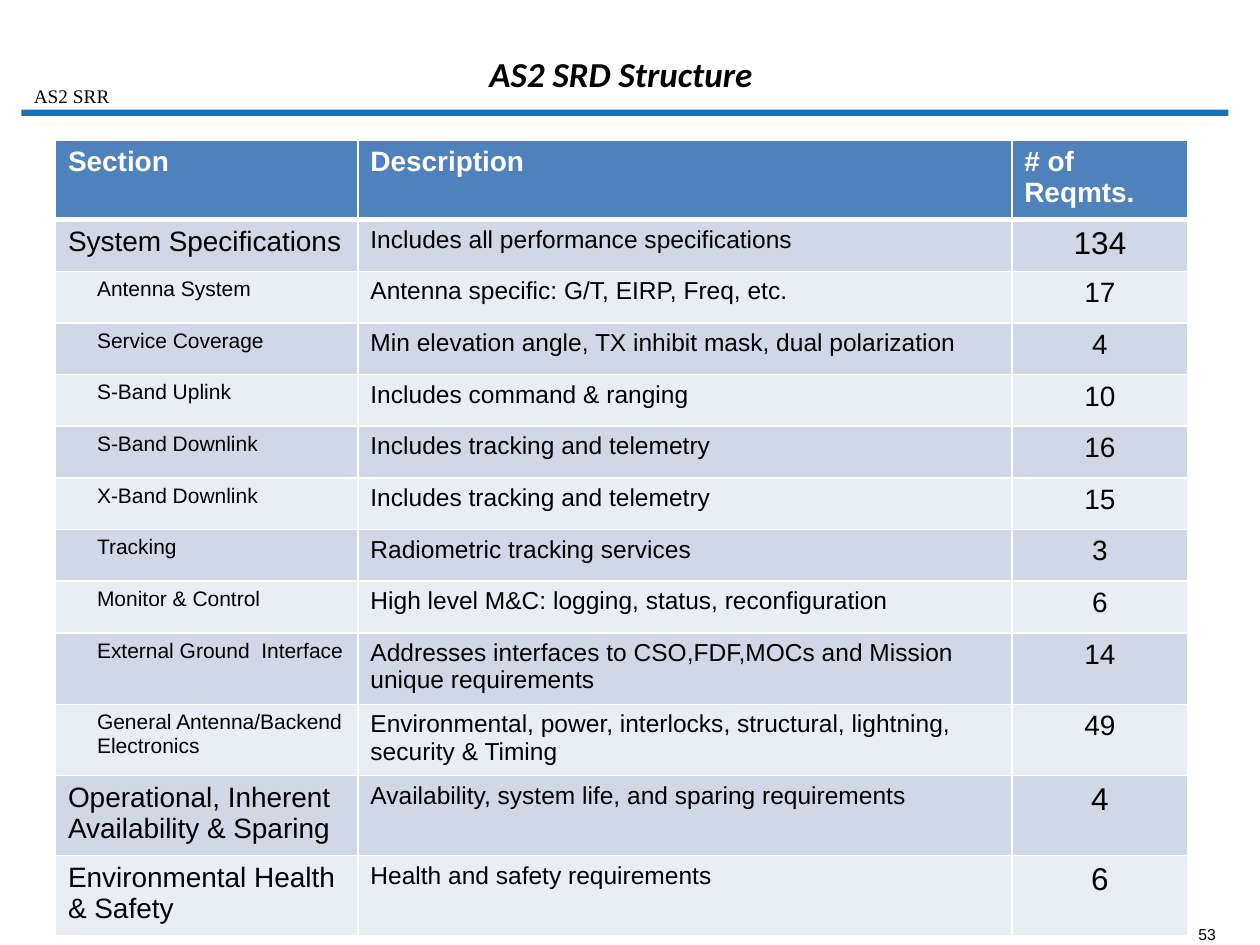
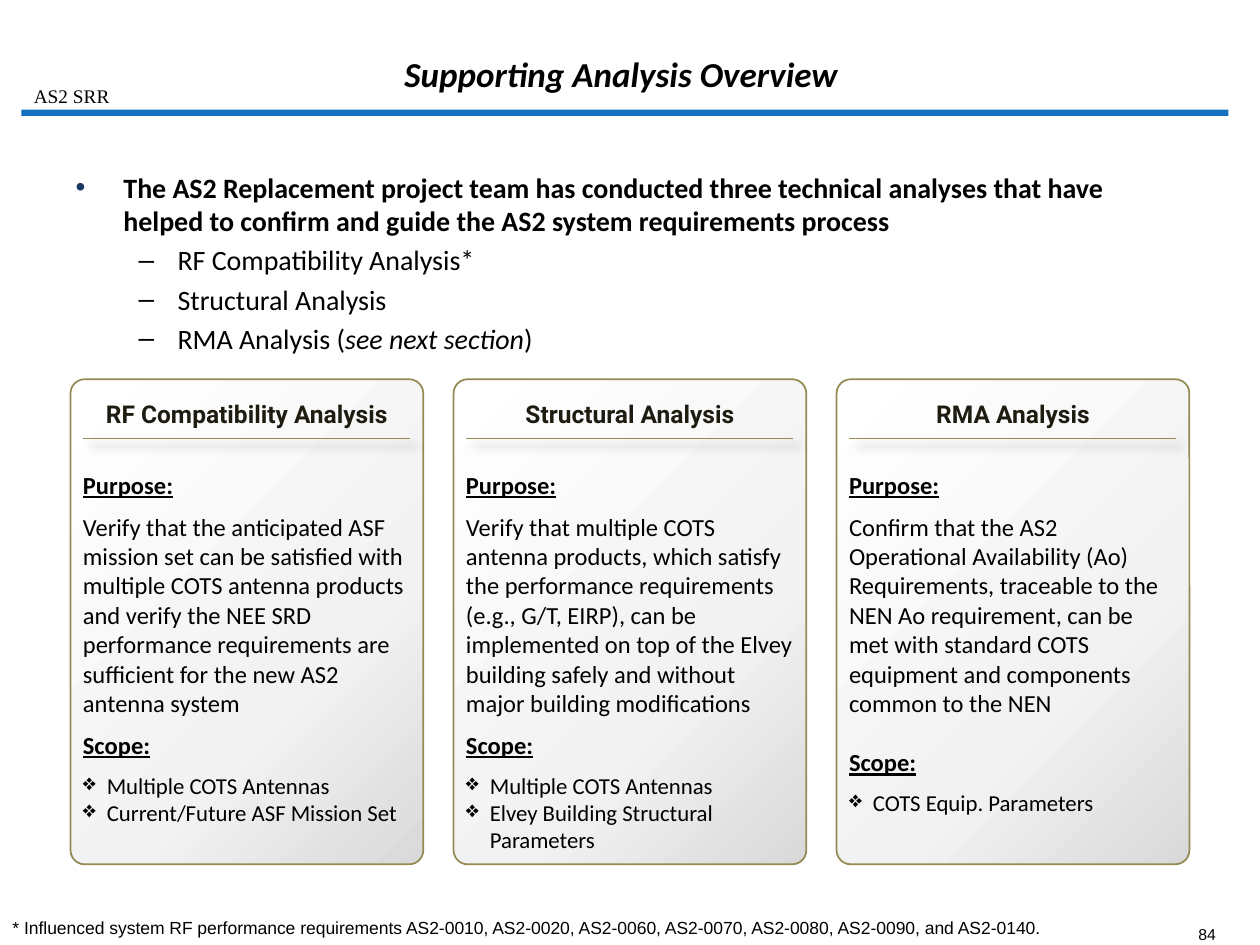
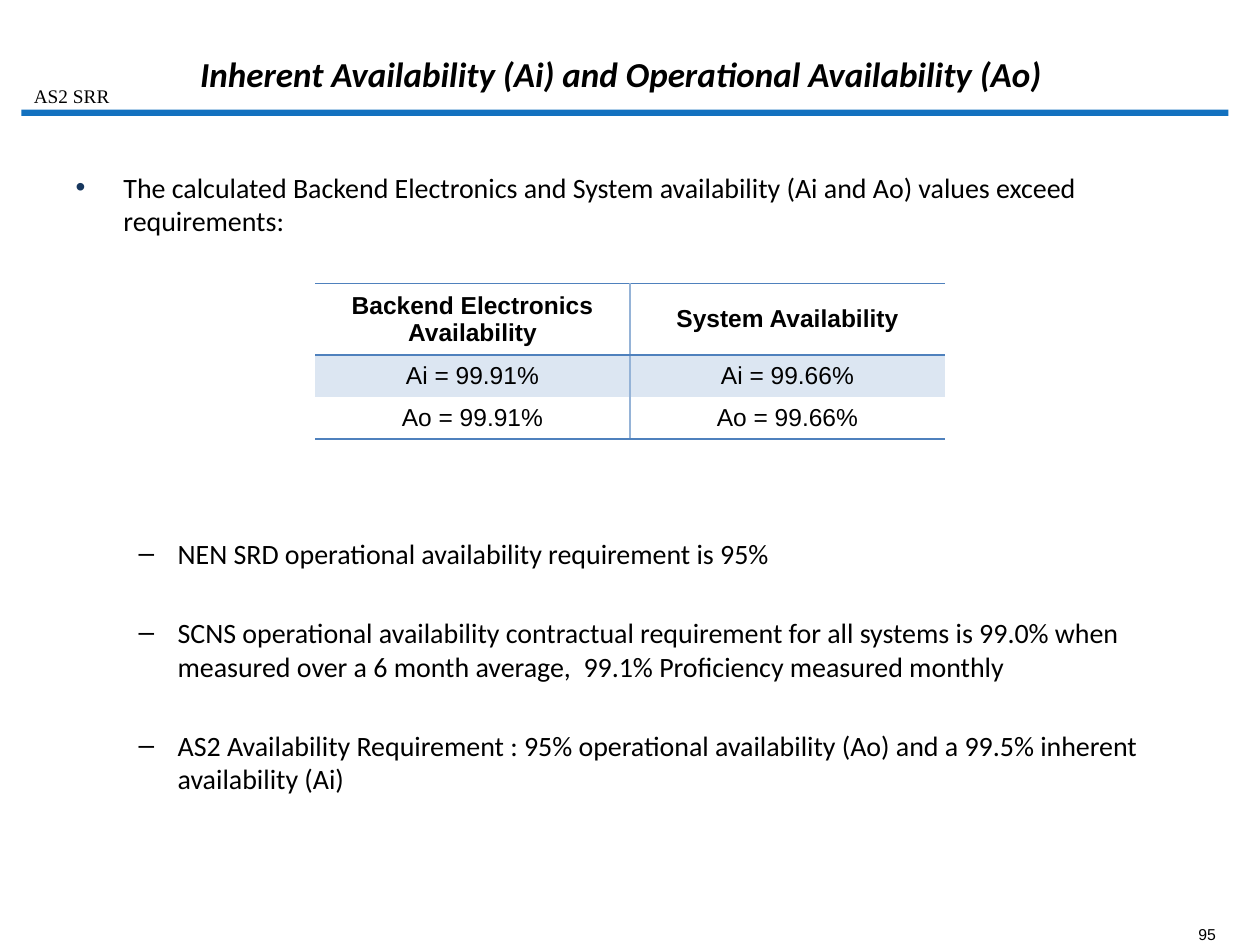
from functools import partial
from typing import NamedTuple

from lxml.etree import SubElement
from pptx import Presentation
from pptx.dml.color import RGBColor
from pptx.enum.shapes import MSO_CONNECTOR as Link, MSO_SHAPE as Shape
from pptx.enum.text import MSO_ANCHOR as Anchor, MSO_AUTO_SIZE as Fit, PP_ALIGN as Align
from pptx.oxml.ns import qn
from pptx.util import Inches, Pt

BLACK = RGBColor(0x00, 0x00, 0x00)
WHITE = RGBColor(0xFF, 0xFF, 0xFF)
BAND = RGBColor(0x13, 0x71, 0xBF)
NAVY = RGBColor(0x17, 0x37, 0x5E)
BLUE = RGBColor(0x4F, 0x81, 0xBD)
SKY = RGBColor(0x95, 0xB3, 0xD7)
PALE = RGBColor(0xDC, 0xE6, 0xF2)
ODD = RGBColor(0xD0, 0xD8, 0xE8)
EVEN = RGBColor(0xE9, 0xED, 0xF4)
OLIVE = RGBColor(0x94, 0x8A, 0x54)
DARK = RGBColor(0x1E, 0x1C, 0x11)
FADE = ((0, WHITE), (65, RGBColor(0xF2, 0xF2, 0xF2)), (100, RGBColor(0xD9, 0xD9, 0xD9)))

BODY = "Calibri"
SANS = "Arial"


class Row(NamedTuple):
    name: str
    about: str
    count: int
    main: bool = False


class Card(NamedTuple):
    title: str
    goal: str
    scope: tuple[str, ...]
    gap: int = 7


ROWS = (
    Row("System Specifications", "Includes all performance specifications", 134, True),
    Row("Antenna System", "Antenna specific: G/T, EIRP, Freq, etc.", 17),
    Row("Service Coverage", "Min elevation angle, TX inhibit mask, dual polarization", 4),
    Row("S-Band Uplink", "Includes command & ranging", 10),
    Row("S-Band Downlink", "Includes tracking and telemetry", 16),
    Row("X-Band Downlink", "Includes tracking and telemetry", 15),
    Row("Tracking", "Radiometric tracking services", 3),
    Row("Monitor & Control", "High level M&C: logging, status, reconfiguration", 6),
    Row("External Ground  Interface",
        "Addresses interfaces to CSO,FDF,MOCs and Mission unique requirements", 14),
    Row("General Antenna/Backend\nElectronics",
        "Environmental, power, interlocks, structural, lightning, security & Timing", 49),
    Row("Operational, Inherent Availability & Sparing",
        "Availability, system life, and sparing requirements", 4, True),
    Row("Environmental Health & Safety", "Health and safety requirements", 6, True),
)

CARDS = (
    Card("RF Compatibility Analysis",
         "Verify that the anticipated ASF mission set can be satisfied with multiple COTS "
         "antenna products and verify the NEE SRD performance requirements are sufficient "
         "for the new AS2 antenna system",
         ("Multiple COTS Antennas", "Current/Future ASF Mission Set")),
    Card("Structural Analysis",
         "Verify that multiple COTS antenna products, which satisfy the performance "
         "requirements (e.g., G/T, EIRP), can be implemented on top of the Elvey building "
         "safely and without major building modifications",
         ("Multiple COTS Antennas", "Elvey Building Structural Parameters")),
    Card("RMA Analysis",
         "Confirm that the AS2 Operational Availability (Ao) Requirements, traceable to the "
         "NEN Ao requirement, can be met with standard COTS equipment and components "
         "common to the NEN",
         ("COTS Equip. Parameters",), 17),
)


def put(frame, text: str, *, size: float = 16, font: str = BODY, color: RGBColor = BLACK,
        bold: bool = False, italic: bool = False, under: bool = False,
        align: Align = Align.LEFT, before: float = 0, level: int = 0,
        left: float = 0, hang: float = 0, mark: str = "",
        tint: RGBColor | None = None) -> None:
    """Add one paragraph per line of text; parts between bars are italic."""
    for line in text.split("\n"):
        para = frame.paragraphs[0]
        if para.runs:
            para = frame.add_paragraph()
        props = para._p.get_or_add_pPr()
        props.set("marL", str(Inches(left)))
        props.set("indent", str(Inches(-hang)))
        if tint is not None:
            SubElement(SubElement(props, qn("a:buClr")), qn("a:srgbClr"), val=str(tint))
        if mark:
            SubElement(props, qn("a:buChar"), char=mark)
        else:
            SubElement(props, qn("a:buNone"))
        para.level = level
        para.alignment = align
        para.space_before = Pt(before)
        for i, part in enumerate(line.split("|")):
            run = para.add_run()
            run.text = part
            face = run.font
            face.name, face.size, face.bold = font, Pt(size), bold
            face.italic = italic or i % 2 == 1
            face.underline = under
            face.color.rgb = color


point = partial(put, left=0.38, hang=0.38, mark="•", tint=NAVY)
dash = partial(put, level=1, left=0.81, hang=0.31, mark="–")


def place(shape, left: float, top: float, width: float, height: float) -> None:
    shape.left, shape.top = Inches(left), Inches(top)
    shape.width, shape.height = Inches(width), Inches(height)


def box(slide, left: float, top: float, width: float, height: float, *,
        wrap: bool = True, pad: tuple[float, float] = (0.1, 0.05)):
    """Add a text box and return its text frame."""
    frame = slide.shapes.add_textbox(
        Inches(left), Inches(top), Inches(width), Inches(height)).text_frame
    frame.word_wrap = wrap
    frame.margin_left = frame.margin_right = Inches(pad[0])
    frame.margin_top = frame.margin_bottom = Inches(pad[1])
    return frame


def start(deck, layout: int, title: str, page: int):
    """Add a slide with title, band, label and page number."""
    slide = deck.slides.add_slide(deck.slide_layouts[layout])
    put(box(slide, 9.5, 7.34, 0.15, 0.15, wrap=False, pad=(0, 0)), str(page),
        size=9, font=SANS, align=Align.RIGHT)
    band = slide.shapes.add_shape(
        Shape.RECTANGLE, Inches(0.17), Inches(0.87), Inches(9.58), Inches(0.05))
    band.shadow.inherit = False
    band.fill.solid()
    band.fill.fore_color.rgb = BAND
    band.line.fill.background()
    put(box(slide, 0.17, 0.62, 0.81, 0.29, wrap=False), "AS2 SRR",
        size=11, font="Times New Roman")
    head = slide.shapes.title
    place(head, 1.33, 0.13, 7.2, 0.67)
    head.text_frame.auto_size = Fit.NONE
    head.text_frame.vertical_anchor = Anchor.BOTTOM
    put(head.text_frame, title, size=20, bold=True, italic=True, align=Align.CENTER)
    return slide


def list_frame(slide, height: float):
    body = slide.placeholders[1]
    place(body, 0.5, 1.3, 9, height)
    body.text_frame.auto_size = Fit.NONE
    return body.text_frame


def grid(slide, left: float, top: float, cols: tuple[float, ...], rows: tuple[float, ...]):
    """Add a table without its style's header and bands."""
    table = slide.shapes.add_table(
        len(rows), len(cols), Inches(left), Inches(top),
        Inches(sum(cols)), Inches(sum(rows))).table
    table.first_row = table.horz_banding = False
    for col, width in zip(table.columns, cols):
        col.width = Inches(width)
    for row, height in zip(table.rows, rows):
        row.height = Inches(height)
    return table


def dress(cell, fill: RGBColor | None, **edges: tuple[RGBColor, float] | None) -> None:
    """Set the borders L, R, T, B (none unless given) and the fill."""
    props = cell._tc.get_or_add_tcPr()
    for side in "LRTB":
        edge = edges.get(side)
        line = SubElement(props, qn(f"a:ln{side}"), w=str(Pt(edge[1] if edge else 0)))
        if edge:
            paint = SubElement(line, qn("a:solidFill"))
            SubElement(paint, qn("a:srgbClr"), val=str(edge[0]))
        else:
            SubElement(line, qn("a:noFill"))
    if fill is None:
        cell.fill.background()
    else:
        cell.fill.solid()
        cell.fill.fore_color.rgb = fill


def cast(line) -> None:
    """Give a connector a soft shadow."""
    group = SubElement(line._element.spPr, qn("a:effectLst"))
    soft = SubElement(group, qn("a:outerShdw"), blurRad=str(Pt(5)), dist=str(Pt(6)),
                      dir="2700000", algn="tl", rotWithShape="0")
    tone = SubElement(soft, qn("a:srgbClr"), val=str(BLACK))
    SubElement(tone, qn("a:alpha"), val="40000")


def draw_card(slide, card: Card, left: float) -> None:
    top, width, height = 3.01, 2.8, 3.85
    panel = slide.shapes.add_shape(
        Shape.ROUNDED_RECTANGLE, Inches(left), Inches(top), Inches(width), Inches(height))
    panel.adjustments[0] = 0.04
    panel.shadow.inherit = False
    panel.line.color.rgb = OLIVE
    panel.line.width = Pt(1)
    panel.fill.gradient()
    panel.fill.gradient_angle = 315
    stops = panel._element.spPr.find(".//" + qn("a:gsLst"))
    for stop in list(stops):
        stops.remove(stop)
    for spot, color in FADE:
        stop = SubElement(stops, qn("a:gs"), pos=str(spot * 1000))
        SubElement(stop, qn("a:srgbClr"), val=str(color))

    put(box(slide, left, 3.15, width, 0.28, pad=(0.1, 0.02)), card.title,
        size=14, font="Roboto", color=DARK, bold=True, align=Align.CENTER)
    rule = slide.shapes.add_connector(
        Link.STRAIGHT, Inches(left + 0.1), Inches(3.48), Inches(left + 2.69), Inches(3.48))
    rule.line.color.rgb = OLIVE
    rule.line.width = Pt(0.75)
    cast(rule)

    frame = box(slide, left, 3.68, width, 3.18)
    put(frame, "Purpose:", size=14, bold=True, under=True)
    put(frame, card.goal, size=14, before=7)
    put(frame, "Scope:", size=14, bold=True, under=True, before=card.gap)
    for i, item in enumerate(card.scope):
        put(frame, item, size=13, left=0.19, hang=0.19, mark="❖", before=0 if i else 7)


def add_structure(deck) -> None:
    slide = start(deck, 5, "AS2 SRD Structure", 53)
    table = grid(slide, 0.44, 1.11, (2.4, 5.19, 1.4), (0.41,) * (len(ROWS) + 1))
    thin, thick = (WHITE, 1), (WHITE, 3)
    for i, text in enumerate(("Section", "Description", "# of Reqmts.")):
        cell = table.cell(0, i)
        dress(cell, BLUE, L=thin, R=thin, T=thin, B=thick)
        put(cell.text_frame, text, font=SANS, color=WHITE, bold=True)
    for i, row in enumerate(ROWS, 1):
        name, about, count = (table.cell(i, j) for j in range(3))
        for cell in (name, about, count):
            dress(cell, ODD if i % 2 else EVEN, L=thin, R=thin, B=thin,
                  T=thick if i == 1 else thin)
        put(name.text_frame, row.name, font=SANS, size=16 if row.main else 12,
            left=0 if row.main else 0.23)
        put(about.text_frame, row.about, font=SANS, size=14)
        put(count.text_frame, str(row.count), font=SANS, size=18 if row.main else 16,
            align=Align.CENTER)


def add_overview(deck) -> None:
    slide = start(deck, 1, "Supporting Analysis Overview", 84)
    frame = list_frame(slide, 1.71)
    point(frame, "The AS2 Replacement project team has conducted three technical analyses "
          "that have helped to confirm and guide the AS2 system requirements process",
          bold=True)
    for text in ("RF Compatibility Analysis*", "Structural Analysis",
                 "RMA Analysis (|see next section|)"):
        dash(frame, text, before=3.2)
    for i, card in enumerate(CARDS):
        draw_card(slide, card, 0.56 + 3.04 * i)
    put(box(slide, 0, 7.23, 8.71, 0.27),
        "* Influenced system RF performance requirements AS2-0010, AS2-0020, AS2-0060, "
        "AS2-0070, AS2-0080, AS2-0090, and AS2-0140.", size=10, font=SANS)


def add_values(deck) -> None:
    slide = start(deck, 1, "Inherent Availability (Ai) and Operational Availability (Ao)", 95)
    frame = list_frame(slide, 5.45)
    point(frame, "The calculated Backend Electronics and System availability (Ai and Ao) "
          "values exceed requirements:")
    dash(frame, "NEN SRD operational availability requirement is 95%", before=171)
    for text in (
        "SCNS operational availability contractual requirement for all systems is 99.0% "
        "when measured over a 6 month average,  99.1% Proficiency measured monthly",
        "AS2 Availability Requirement : 95% operational availability (Ao) and a 99.5% "
        "inherent availability (Ai)",
    ):
        dash(frame, text, before=26)

    table = grid(slide, 2.5, 2.25, (2.5, 2.5), (0.54, 0.32, 0.32))
    rule, split = (BLUE, 1), (SKY, 1)
    values = (("Backend Electronics Availability", "System Availability"),
              ("Ai = 99.91%", "Ai = 99.66%"),
              ("Ao = 99.91%", "Ao = 99.66%"))
    for i, row in enumerate(values):
        for j, text in enumerate(row):
            cell = table.cell(i, j)
            dress(cell, PALE if i == 1 else None,
                  L=split if j else None, R=None if j else split,
                  T=rule if i < 2 else None, B=None if i == 1 else rule)
            cell.vertical_anchor = Anchor.MIDDLE
            put(cell.text_frame, text, size=14, font=SANS, bold=i == 0, align=Align.CENTER)


def main() -> None:
    deck = Presentation()
    deck.slide_width, deck.slide_height = Inches(10), Inches(7.5)
    add_structure(deck)
    add_overview(deck)
    add_values(deck)
    deck.save("out.pptx")


if __name__ == "__main__":
    main()
